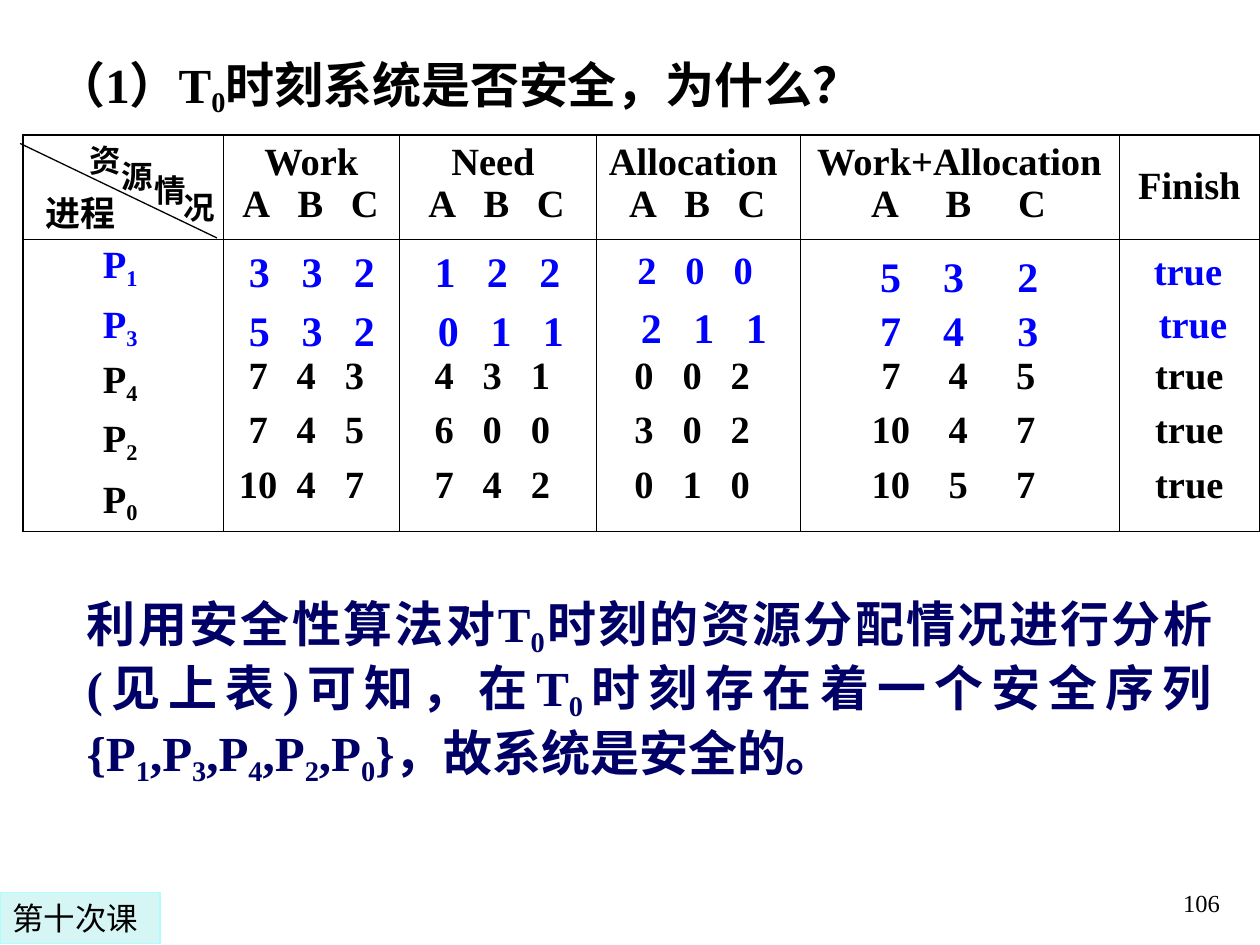
from lxml.etree import SubElement
from pptx import Presentation
from pptx.dml.color import RGBColor
from pptx.enum.shapes import MSO_CONNECTOR, MSO_SHAPE
from pptx.enum.text import MSO_ANCHOR as Anchor, MSO_AUTO_SIZE as AutoSize, PP_ALIGN as Align
from pptx.oxml.ns import qn
from pptx.util import Pt

COLORS = {"black": "000000", "blue": "0000FF", "navy": "000066",
          "tag": "D6F5F5", "tag_line": "ADFFFF"}
SERIF = "Times New Roman"
COLUMNS = [114.5, 100.8, 112.3, 116.6, 182.2, 80.6]
ROWS = [59.8, 167]
SEQUENCE = "13420"
# heading, first stop and pitch of the letters, first stop and pitch of the digits, rows
RESOURCES = [
    ("Work", 11.7, 31, 12.8, 27.5, ["7 4 3", "7 4 5", "10 4 7"]),
    ("Need ", 17.2, 31, 18.3, 27.5, ["4 3 1", "6 0 0", "7 4 2"]),
    ("Allocation ", 19.6, 31, 20.2, 27.5, ["0 0 2", "3 0 2", "0 1 0"]),
    ("Work+Allocation ", 41.3, 42, 44.7, 38.5, ["7 4 5", "10 4 7", "10 5 7"]),
]
# values, left, top, size, tab stops
BLUE_VALUES = [
    ("3 3 2", 133.2, 136.8, 24, [8, 38, 68]),
    ("1 2 2", 241.2, 136.8, 24, [6, 36, 66]),
    ("2 0 0", 357.1, 136.8, 22, [5.5, 33, 60.5]),
    ("5 3 2", 490.3, 139.7, 24, [11.6, 47.6, 90]),
    ("5 3 2", 133.2, 170.6, 24, [8, 38, 68]),
    ("0 1 1", 241.2, 170.6, 24, [8, 38, 68]),
    ("2 1 1", 357.1, 168.5, 24, [8, 38, 68]),
    ("7 4 3", 490.3, 170.6, 24, [11.6, 47.6, 90]),
]


def color(name):
    return RGBColor.from_string(COLORS[name])


def even_stops(first, pitch):
    return [first + pitch * step for step in range(3)]


def tabbed(values):
    return "".join("\t" + value for value in values.split())


def write(para, text, size=22, ink="black", bold=True, font=SERIF, align=Align.LEFT,
          before=0, stops=(), drop=-20):
    """Fill a paragraph; the character after each underscore is a subscript."""
    para.alignment = align
    para.space_before = Pt(before)
    if stops:
        tab_list = SubElement(para._p.get_or_add_pPr(), qn("a:tabLst"))
        for stop in stops:
            SubElement(tab_list, qn("a:tab"), pos=str(int(Pt(stop))), algn="ctr")
    start, *rest = text.split("_")
    spans = [(start, 0)]
    for piece in rest:
        spans += [(piece[0], drop), (piece[1:], 0)]
    for words, baseline in spans:
        if not words:
            continue
        span = para.add_run()
        span.text = words
        span.font.size = Pt(size)
        span.font.bold = bold
        span.font.name = font
        span.font.color.rgb = color(ink)
        if baseline:
            span._r.get_or_add_rPr().set("baseline", str(baseline * 1000))


def add_label(shapes, text, left, top, width, height, wrap=True, anchor=Anchor.TOP, **style):
    box = shapes.add_textbox(Pt(left), Pt(top), Pt(width), Pt(height))
    frame = box.text_frame
    frame.word_wrap = wrap
    frame.auto_size = AutoSize.NONE
    frame.vertical_anchor = anchor
    write(frame.paragraphs[0], text, **style)


def border_cell(cell, row, column):
    outer = {"L": column == 0, "R": column == len(COLUMNS) - 1,
             "T": row == 0, "B": row == len(ROWS) - 1}
    properties = cell._tc.get_or_add_tcPr()
    for side, is_outer in outer.items():
        line = SubElement(properties, qn("a:ln" + side), w=str(int(Pt(1.08 if is_outer else 0.45))))
        fill = SubElement(line, qn("a:solidFill"))
        SubElement(fill, qn("a:srgbClr"), val=COLORS["black"])
    cell.fill.background()


def fill_cell(cell, lines):
    """Write (text, format) pairs as the paragraphs of a cell."""
    frame = cell.text_frame
    for index, (text, style) in enumerate(lines):
        para = frame.paragraphs[0] if index == 0 else frame.add_paragraph()
        write(para, text, **style)


def add_safety_table(page):
    table = page.shapes.add_table(len(ROWS), len(COLUMNS), Pt(13), Pt(77),
                                  Pt(sum(COLUMNS)), Pt(sum(ROWS))).table
    table.first_row = table.horz_banding = False
    for column, width in zip(table.columns, COLUMNS):
        column.width = Pt(width)
    for row, height in zip(table.rows, ROWS):
        row.height = Pt(height)
    for row in range(len(ROWS)):
        for column in range(len(COLUMNS)):
            border_cell(table.cell(row, column), row, column)

    centered = {"align": Align.CENTER}
    for column, (heading, letter, letter_pitch, digit, digit_pitch, rows) in enumerate(RESOURCES, 1):
        letters = {"stops": even_stops(letter, letter_pitch)}
        fill_cell(table.cell(0, column), [(heading, centered), (tabbed("A B C"), letters)])
        digits = {"stops": even_stops(digit, digit_pitch)}
        fill_cell(table.cell(1, column),
                  [(tabbed(values), {**digits, "before": 6.9 if index else 0})
                   for index, values in enumerate(rows)])
    fill_cell(table.cell(0, 5), [("Finish", centered)])
    table.cell(0, 5).vertical_anchor = Anchor.MIDDLE
    fill_cell(table.cell(1, 5), [("true", {**centered, "before": before})
                                 for before in (0, 6.9, 6.9)])
    # Room for the two highlighted rows above the black ones
    for column in range(1, len(COLUMNS)):
        table.cell(1, column).margin_top = Pt(66)


def add_corner_heading(page):
    group = page.shapes.add_group_shape().shapes
    diagonal = group.add_connector(MSO_CONNECTOR.STRAIGHT, Pt(11.5), Pt(82), Pt(124), Pt(136))
    diagonal.line.color.rgb = color("black")
    diagonal.line.width = Pt(0.75)
    SubElement(diagonal._element.spPr, qn("a:effectLst"))
    style = {"font": "Lato", "align": Align.JUSTIFY}
    add_label(group, "进程", 18.7, 105.8, 66.2, 31.7, size=20, **style)
    for character, left, top in [("资", 43.9, 77), ("源", 62.6, 86.4),
                                 ("情", 81.4, 94.3), ("况", 97.9, 103.7)]:
        add_label(group, character, left, top, 36.7, 28.8, size=18, **style)


def add_lesson_tag(page):
    tag = page.shapes.add_shape(MSO_SHAPE.RECTANGLE, 0, Pt(510), Pt(91.5), Pt(29))
    tag.shadow.inherit = False
    tag.fill.solid()
    tag.fill.fore_color.rgb = color("tag")
    tag.line.color.rgb = color("tag_line")
    tag.line.width = Pt(0.75)
    tag.text_frame.vertical_anchor = Anchor.TOP
    write(tag.text_frame.paragraphs[0], "第十次课", size=18, bold=False, font="DejaVu Sans")


def main():
    deck = Presentation()
    deck.slide_width, deck.slide_height = Pt(720), Pt(540)
    page = deck.slides.add_slide(deck.slide_layouts[5])

    # Title
    title = page.shapes.title
    title.left, title.top, title.width, title.height = Pt(25), Pt(16.5), Pt(679), Pt(54.7)
    title.text_frame.auto_size = AutoSize.NONE
    title.text_frame.vertical_anchor = Anchor.BOTTOM
    write(title.text_frame.paragraphs[0], "（1）T_0时刻系统是否安全，为什么？", size=28, drop=-18)

    # Table with its corner heading
    add_safety_table(page)
    add_corner_heading(page)

    # Process names
    for index, (process, top) in enumerate(zip(SEQUENCE, [133.9, 167.8, 199.4, 233.3, 267.8])):
        add_label(page.shapes, "P_" + process, 51.8, top, 33.8, 36, wrap=False,
                  ink="blue" if index < 2 else "black")

    # Highlighted rows
    for values, left, top, size, stops in BLUE_VALUES:
        width = 116 if stops[-1] == 90 else 90.7
        add_label(page.shapes, tabbed(values), left, top, width, 36,
                  size=size, ink="blue", stops=stops)
    for left, top in [(652.3, 137.5), (655.2, 167.8)]:
        add_label(page.shapes, "true", left, top, 53.3, 33.8, wrap=False, ink="blue")

    # Conclusion
    add_label(page.shapes,
              "利用安全性算法对T_0时刻的资源分配情况进行分析(见上表)可知，在T_0时刻存在着一个安全序列{"
              + ",".join("P_" + process for process in SEQUENCE) + "}，故系统是安全的。",
              42.5, 335.5, 657.4, 116.6, size=28, ink="navy", align=Align.JUSTIFY)

    # Footer
    add_lesson_tag(page)
    add_label(page.shapes, "106", 554.4, 491.8, 149.8, 36, size=14, bold=False,
              align=Align.RIGHT, anchor=Anchor.BOTTOM)
    deck.save("out.pptx")


if __name__ == "__main__":
    main()
